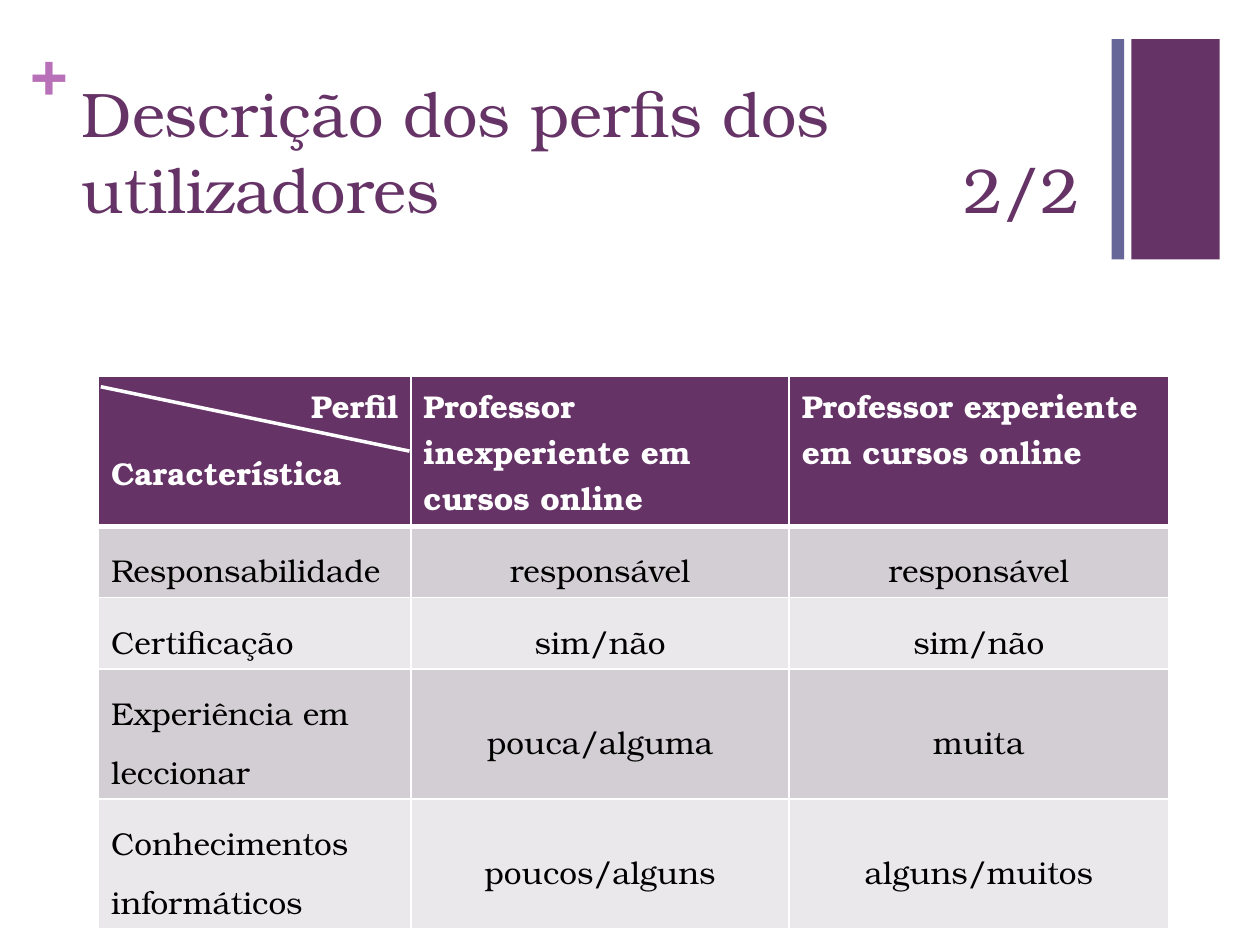
import pptx
import pptx.dml.color
import pptx.enum.shapes
import pptx.enum.text
import pptx.oxml.ns
import pptx.util
from lxml import etree

Pt = pptx.util.Pt
ALIGN = pptx.enum.text.PP_ALIGN
ANCHOR = pptx.enum.text.MSO_ANCHOR
qn = pptx.oxml.ns.qn

FONT = "TeX Gyre Bonum"
PLUM, SLATE, ORCHID = "663366", "666699", "B870B8"
WHITE, BLACK = "FFFFFF", "000000"
BANDS = ("D3CED3", "EAE8EA")

COLUMN_WIDTHS = (178.5, 216.2, 216.6)
HEADER_HEIGHT, SINGLE_HEIGHT, DOUBLE_HEIGHT = 85.7, 40.8, 74.2
ROW_HEIGHTS = (HEADER_HEIGHT, SINGLE_HEIGHT, SINGLE_HEIGHT,
               DOUBLE_HEIGHT, DOUBLE_HEIGHT)
HEADERS = ("Professor inexperiente em cursos online",
           "Professor experiente em cursos online")
PROFILES = (
    ("Responsabilidade", "responsável", "responsável"),
    ("Certificação", "sim/não", "sim/não"),
    ("Experiência em leccionar", "pouca/alguma", "muita"),
    ("Conhecimentos informáticos", "poucos/alguns", "alguns/muitos"),
)


def color(value):
    """Turn a hex string into a colour."""
    return pptx.dml.color.RGBColor.from_string(value)


def style(para, size, ink, bold=False, align=ALIGN.LEFT, spacing=None):
    """Set the font and layout of a paragraph."""
    para.font.name = FONT
    para.font.size = Pt(size)
    para.font.bold = bold
    para.font.color.rgb = color(ink)
    para.alignment = align
    if spacing:
        para.line_spacing = spacing


def add_block(page, left, top, width, height, fill):
    """Add a plain filled rectangle."""
    block = page.shapes.add_shape(
        pptx.enum.shapes.MSO_SHAPE.RECTANGLE,
        Pt(left), Pt(top), Pt(width), Pt(height))
    block.shadow.inherit = False
    block.fill.solid()
    block.fill.fore_color.rgb = color(fill)
    block.line.fill.background()


def add_text(page, left, top, width, height, text, wrap=True):
    """Add a text box and return its frame."""
    box = page.shapes.add_textbox(Pt(left), Pt(top), Pt(width), Pt(height))
    frame = box.text_frame
    frame.word_wrap = wrap
    frame.text = text
    return frame


def add_plus(page):
    """Add the decorative plus sign."""
    frame = add_text(page, 17.3, 18, 21, 44, "+", wrap=False)
    frame.margin_left = frame.margin_right = 0
    frame.margin_top = frame.margin_bottom = 0
    style(frame.paragraphs[0], 36, ORCHID, bold=True)


def add_title(page):
    """Add the title, with the page count at a tab stop."""
    frame = add_text(page, 39.6, 38.2, 594.7, 87.8,
                     "Descrição dos perfis dos utilizadores\t2/2")
    frame.margin_top = Pt(4.5)
    para = frame.paragraphs[0]
    style(para, 36, PLUM)
    stops = etree.SubElement(para._p.get_or_add_pPr(), qn("a:tabLst"))
    etree.SubElement(stops, qn("a:tab"), pos=str(Pt(504)), algn="l")
    # Schema order: the tab list precedes the default run properties.
    default = para._p.pPr.find(qn("a:defRPr"))
    default.addprevious(stops)


def set_borders(cell, top, bottom):
    """Draw white cell borders, with the given top and bottom widths."""
    properties = cell._tc.get_or_add_tcPr()
    for side, width in (("L", 1), ("R", 1), ("T", top), ("B", bottom)):
        line = etree.SubElement(properties, qn("a:ln" + side), w=str(Pt(width)))
        fill = etree.SubElement(line, qn("a:solidFill"))
        etree.SubElement(fill, qn("a:srgbClr"), val=WHITE)


def fill_cell(cell, text, fill, top=1, bottom=1):
    """Give a cell its text, borders and fill, and return its paragraphs."""
    cell.text = text
    set_borders(cell, top, bottom)
    cell.fill.solid()
    cell.fill.fore_color.rgb = color(fill)
    return cell.text_frame.paragraphs


def add_profiles(page):
    """Add the table of user profiles."""
    shape = page.shapes.add_table(
        len(ROW_HEIGHTS), len(COLUMN_WIDTHS), Pt(56.3), Pt(215),
        Pt(sum(COLUMN_WIDTHS)), Pt(sum(ROW_HEIGHTS)))
    table = shape.table
    table.horz_banding = False
    for column, width in zip(table.columns, COLUMN_WIDTHS):
        column.width = Pt(width)
    for row, height in zip(table.rows, ROW_HEIGHTS):
        row.height = Pt(height)

    for index, text in enumerate(("Perfil\nCaracterística",) + HEADERS):
        for para in fill_cell(table.cell(0, index), text, PLUM, bottom=3):
            style(para, 18, WHITE, bold=True)
    profile, feature = table.cell(0, 0).text_frame.paragraphs
    profile.alignment = ALIGN.RIGHT
    feature.space_before = Pt(11.8)

    for row, values in enumerate(PROFILES, start=1):
        for index, text in enumerate(values):
            cell = table.cell(row, index)
            paras = fill_cell(cell, text, BANDS[(row - 1) % 2],
                              top=3 if row == 1 else 1)
            align = ALIGN.CENTER if index else ALIGN.LEFT
            style(paras[0], 18, BLACK, align=align, spacing=1.4)
            if index:
                cell.vertical_anchor = ANCHOR.MIDDLE


def add_line(page, start, end, ink, width):
    """Add a straight line between two points."""
    line = page.shapes.add_connector(
        pptx.enum.shapes.MSO_CONNECTOR.STRAIGHT,
        *(Pt(value) for value in start + end))
    line.line.color.rgb = color(ink)
    line.line.width = Pt(width)
    etree.SubElement(line._element.spPr, qn("a:effectLst"))


def main():
    """Build the slide and save it."""
    deck = pptx.Presentation()
    deck.slide_width, deck.slide_height = Pt(720), Pt(540)
    page = deck.slides.add_slide(deck.slide_layouts[6])
    add_block(page, 646.5, 22.3, 50.5, 126, PLUM)
    add_plus(page)
    add_block(page, 635.2, 22.3, 7.2, 126, SLATE)
    add_title(page)
    add_profiles(page)
    add_line(page, (57.6, 221), (234, 257.8), WHITE, 2)
    deck.save("out.pptx")


main()
